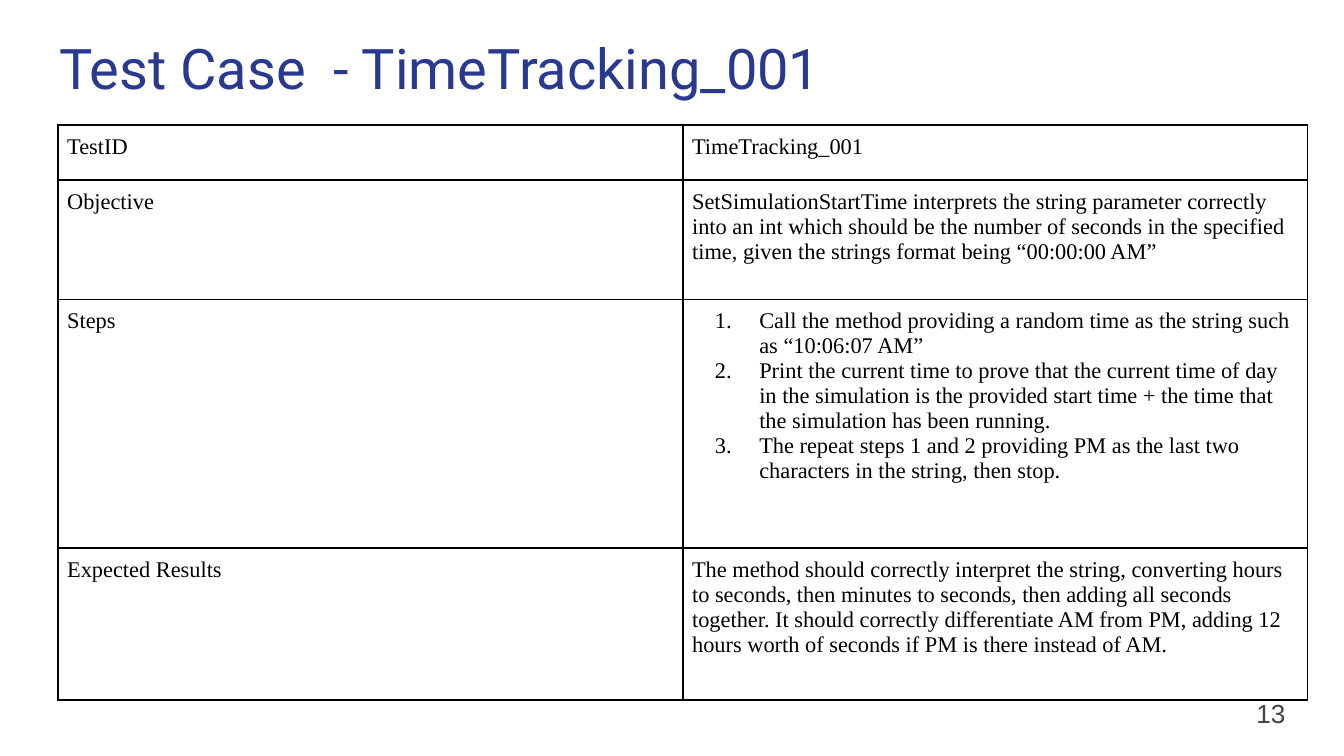
from lxml import etree
from pptx import Presentation
from pptx.dml.color import RGBColor
from pptx.enum import text
from pptx.oxml import ns
from pptx.util import Inches, Pt

COLORS = {"title": "2A3990", "number": "434343", "ink": "000000", "paper": "FFFFFF"}
ROW_HEIGHTS = [0.41, 0.89, 1.85, 1.13]
TEST_CASE = [
    ("TestID", ["TimeTracking_001"]),
    ("Objective", [
        "SetSimulationStartTime interprets the string parameter correctly into an int "
        "which should be the number of seconds in the specified time, given the strings "
        "format being “00:00:00 AM”"]),
    ("Steps", [
        "Call the method providing a random time as the string such as “10:06:07 AM”",
        "Print the current time to prove that the current time of day in the simulation "
        "is the provided start time + the time that the simulation has been running.",
        "The repeat steps 1 and 2 providing PM as the last two characters in the string, "
        "then stop."]),
    ("Expected Results", [
        "The method should correctly interpret the string, converting hours to seconds, "
        "then minutes to seconds, then adding all seconds together. It should correctly "
        "differentiate AM from PM, adding 12 hours worth of seconds if PM is there "
        "instead of AM."]),
]


def style(paragraph, font_name, size, color):
    paragraph.alignment = text.PP_ALIGN.LEFT
    for run in paragraph.runs:
        run.font.name = font_name
        run.font.size = Pt(size)
        run.font.bold = False
        run.font.color.rgb = RGBColor.from_string(COLORS[color])


def set_insets(holder, inset):
    holder.margin_left = holder.margin_right = Inches(inset)
    holder.margin_top = holder.margin_bottom = Inches(inset)


def number_paragraph(paragraph):
    props = paragraph._p.get_or_add_pPr()
    props.set("marL", str(Inches(0.5)))
    props.set("indent", str(Inches(-0.33)))
    font = etree.SubElement(props, ns.qn("a:buFont"))
    font.set("typeface", "Times New Roman")
    numbering = etree.SubElement(props, ns.qn("a:buAutoNum"))
    numbering.set("type", "arabicPeriod")


def add_borders(cell):
    """Draw the four cell edges; they must precede the fill in the XML."""
    props = cell._tc.get_or_add_tcPr()
    for index, edge in enumerate(("lnL", "lnR", "lnT", "lnB")):
        line = etree.Element(ns.qn(f"a:{edge}"), w=str(Pt(1)))
        fill = etree.SubElement(line, ns.qn("a:solidFill"))
        etree.SubElement(fill, ns.qn("a:srgbClr"), val=COLORS["ink"])
        props.insert(index, line)


def fill_cell(cell, lines):
    cell.fill.solid()
    cell.fill.fore_color.rgb = RGBColor.from_string(COLORS["paper"])
    set_insets(cell, 0.07)
    cell.text_frame.text = "\n".join(lines)
    for paragraph in cell.text_frame.paragraphs:
        style(paragraph, "Times New Roman", 12, "ink")
        if len(lines) > 1:
            number_paragraph(paragraph)
    add_borders(cell)


def place_title(slide, left, top, width, height):
    title = slide.shapes.title
    title.left, title.top = Inches(left), Inches(top)
    title.width, title.height = Inches(width), Inches(height)
    frame = title.text_frame
    frame.text = "Test Case  - TimeTracking_001"
    frame.vertical_anchor = text.MSO_ANCHOR.TOP
    frame.auto_size = text.MSO_AUTO_SIZE.NONE
    set_insets(frame, 0.1)
    style(frame.paragraphs[0], "Roboto", 30, "title")


def add_test_case(slide, left, top, width):
    table = slide.shapes.add_table(
        len(TEST_CASE), 2, Inches(left), Inches(top),
        Inches(width), Inches(sum(ROW_HEIGHTS))).table
    table.first_row = table.horz_banding = False
    for row, height, (label, details) in zip(table.rows, ROW_HEIGHTS, TEST_CASE):
        row.height = Inches(height)
        fill_cell(row.cells[0], [label])
        fill_cell(row.cells[1], details)


def add_page_number(slide, left, top, width, height):
    frame = slide.shapes.add_textbox(
        Inches(left), Inches(top), Inches(width), Inches(height)).text_frame
    frame.word_wrap = True
    frame.vertical_anchor = text.MSO_ANCHOR.MIDDLE
    set_insets(frame, 0.1)
    frame.text = "13"
    style(frame.paragraphs[0], "Arial", 14, "number")


def main():
    deck = Presentation()
    deck.slide_width = Inches(10)
    deck.slide_height = deck.slide_width * 9 // 16
    slide = deck.slides.add_slide(deck.slide_layouts[5])
    place_title(slide, 0.34, 0.15, 9.32, 0.66)
    add_page_number(slide, 9.25, 5.09, 0.6, 0.43)
    add_test_case(slide, 0.43, 0.93, 9.3)
    deck.save("out.pptx")


if __name__ == "__main__":
    main()
